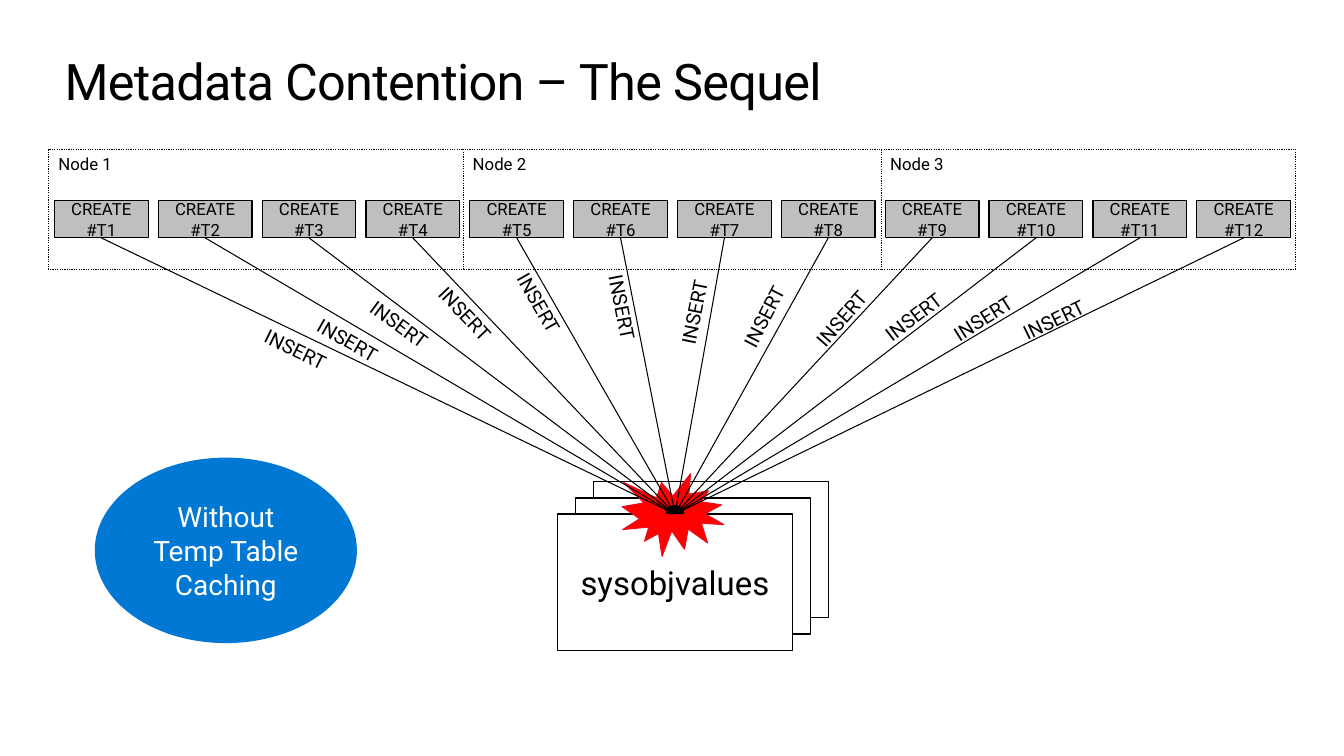
from lxml import etree
from pptx import Presentation
from pptx.dml.color import RGBColor
from pptx.enum.dml import MSO_LINE
from pptx.enum.shapes import MSO_CONNECTOR, MSO_SHAPE
from pptx.enum.text import MSO_ANCHOR, PP_ALIGN
from pptx.oxml.ns import qn
from pptx.util import Inches, Pt

RECT, OVAL = MSO_SHAPE.RECTANGLE, MSO_SHAPE.OVAL
BURST = MSO_SHAPE.EXPLOSION1
STRAIGHT = MSO_CONNECTOR.STRAIGHT
DOTTED = MSO_LINE.ROUND_DOT
LEFT, CENTER = PP_ALIGN.LEFT, PP_ALIGN.CENTER
TOP, MIDDLE = MSO_ANCHOR.TOP, MSO_ANCHOR.MIDDLE

FONT = "Roboto"
BLACK, WHITE, GRAY = "000000", "FFFFFF", "BFBFBF"
RED, CRIMSON, BLUE = "FF0000", "E81123", "0078D4"

TITLE = "Metadata Contention – The Sequel"
TABLE = "sysobjvalues"
NOTE = "Without Temp Table Caching"
NODES = [("Node 3", 8.73, 4.12), ("Node 2", 4.59, 4.15), ("Node 1", 0.48, 4.12)]
INSERTS = [
    (2.49, 3.38, 1.22, 26), (3, 3.3, 1.22, 29.8),
    (3.5, 3.16, 1.22, 36.3), (4.13, 3.08, 1.22, 46.7),
    (4.71, 3.2, 1.68, 60.3), (5.41, 3.29, 1.68, 78.8),
    (6.13, 2.52, 1.68, 281.3), (6.93, 2.6, 1.68, 297.2),
    (7.86, 2.85, 1.22, 311.2), (8.6, 2.86, 1.22, 322.6),
    (9.3, 2.89, 1.22, 327.7), (10.01, 2.92, 1.22, 334.1),
]
TASK_LEFT, TASK_STEP = 0.54, 1.03
PAGE_LEFT, PAGE_TOP, PAGE_SHIFT_X, PAGE_SHIFT_Y = 5.53, 5.1, 0.18, 0.16

prs = Presentation()
prs.slide_width, prs.slide_height = Inches(13.33), Inches(7.5)
s = prs.slides.add_slide(prs.slide_layouts[6])


def color(value):
    return RGBColor.from_string(value)


def write(sp, text, size=12, fill=BLACK, align=LEFT, anchor=TOP,
          inset=(0.1, 0.05), spacing=None):
    tf = sp.text_frame
    tf.word_wrap = True
    tf.vertical_anchor = anchor
    tf.margin_left = tf.margin_right = Inches(inset[0])
    tf.margin_top = tf.margin_bottom = Inches(inset[1])
    p = tf.paragraphs[0]
    p.alignment = align
    r = p.add_run()
    r.text = text
    r.font.name = FONT
    r.font.size = Pt(size)
    r.font.color.rgb = color(fill)
    if spacing:
        r.font._element.set("spc", str(int(spacing * 100)))


def add_box(kind, x, y, w, h, fill=WHITE, line=BLACK, width=0.85, dash=None):
    sp = s.shapes.add_shape(kind, Inches(x), Inches(y), Inches(w), Inches(h))
    sp.shadow.inherit = False
    sp.fill.solid()
    sp.fill.fore_color.rgb = color(fill)
    if line:
        sp.line.color.rgb = color(line)
        sp.line.width = Pt(width)
        if dash:
            sp.line.dash_style = dash
    else:
        sp.line.fill.background()
    return sp


def add_label(text, x, y, w, h, rotation=0, **style):
    sp = s.shapes.add_textbox(Inches(x), Inches(y), Inches(w), Inches(h))
    sp.rotation = rotation
    write(sp, text, **style)


def add_arrow(start, end):
    cn = s.shapes.add_connector(STRAIGHT, 0, 0, 0, 0)
    cn.begin_connect(start, 2)
    cn.end_connect(end, 0)
    cn.line.color.rgb = color(BLACK)
    cn.line.width = Pt(0.75)
    etree.SubElement(cn.line._get_or_add_ln(), qn("a:tailEnd"), type="triangle")
    etree.SubElement(cn._element.spPr, qn("a:effectLst"))


add_label(TITLE, 0.64, 0.5, 12.05, 0.61, size=36, inset=(0, 0), spacing=-0.5)

for depth in (2, 1, 0):
    page = add_box(RECT, PAGE_LEFT + depth * PAGE_SHIFT_X,
                   PAGE_TOP - depth * PAGE_SHIFT_Y, 2.33, 1.35)
write(page, TABLE, size=23.5, align=CENTER, anchor=MIDDLE)
add_box(BURST, 6.17, 4.7, 1.01, 0.82, RED, CRIMSON, 0.75)

for name, x, w in NODES:
    write(add_box(RECT, x, 1.48, w, 1.19, dash=DOTTED), name)

for i, (x, y, w, angle) in enumerate(INSERTS):
    task = add_box(RECT, TASK_LEFT + i * TASK_STEP, 1.99, 0.93, 0.37, GRAY)
    write(task, f"CREATE #T{i + 1}", align=CENTER, anchor=MIDDLE)
    add_arrow(task, page)
    add_label("INSERT", x, y, w, 0.34, angle, size=14)

note = add_box(OVAL, 0.94, 4.54, 2.6, 1.84, BLUE, None)
write(note, NOTE, size=20, fill=WHITE, align=CENTER, anchor=MIDDLE,
      inset=(0.2, 0.16))

prs.save("out.pptx")
